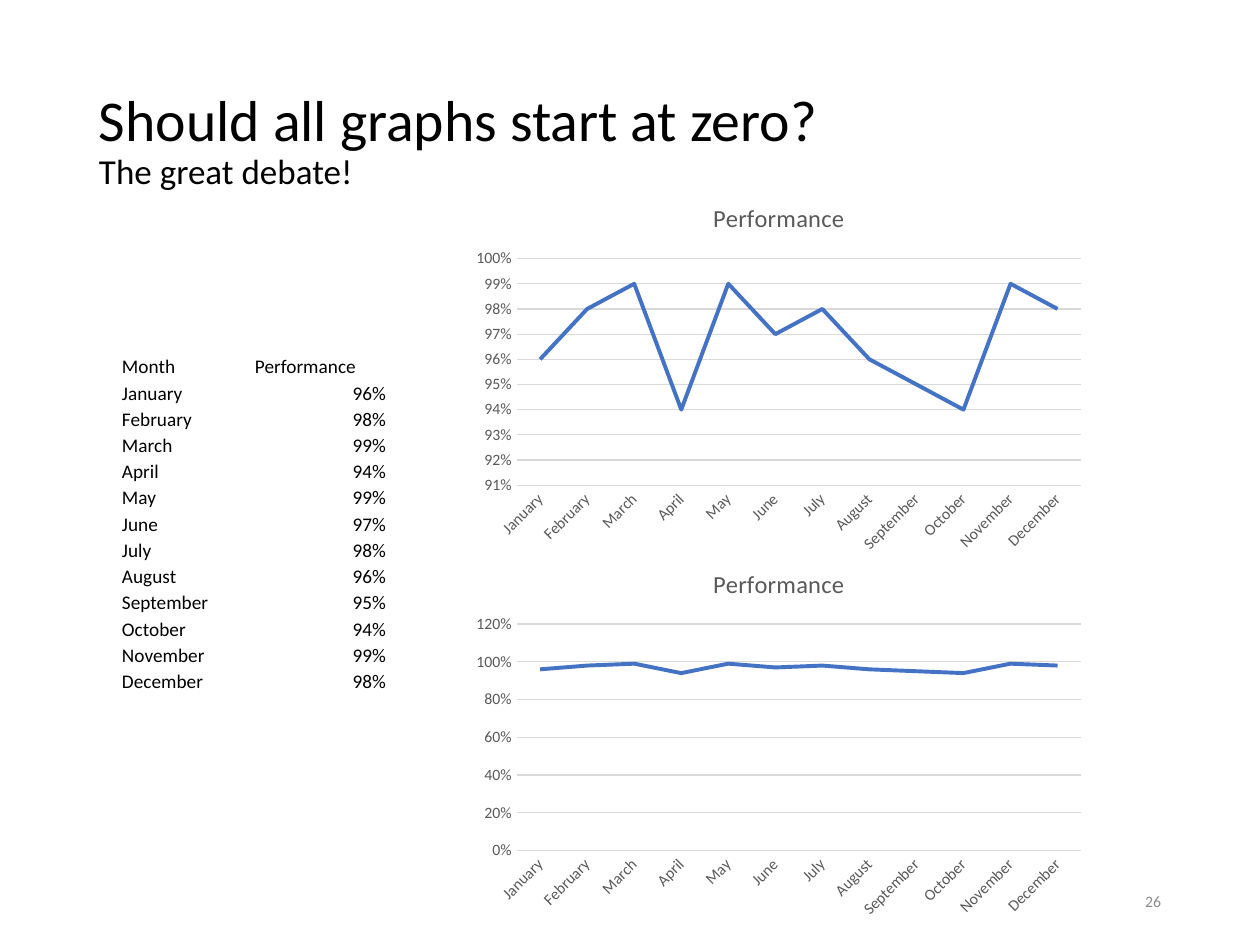
from pptx import Presentation
from pptx.chart.data import CategoryChartData
from pptx.dml.color import RGBColor
from pptx.enum import chart as charts, text
from pptx.util import Pt

FONT = "Calibri"
COLORS = {"ink": "000000", "label": "595959", "grid": "D9D9D9", "line": "4472C4", "number": "8C8C8C"}

TITLE = [("Should all graphs start at zero?", 33), ("The great debate!", 20)]
PAGE_NUMBER = "26"
HEADERS = ("Month", "Performance")
PERFORMANCE = {
    "January": 0.96, "February": 0.98, "March": 0.99, "April": 0.94,
    "May": 0.99, "June": 0.97, "July": 0.98, "August": 0.96,
    "September": 0.95, "October": 0.94, "November": 0.99, "December": 0.98,
}
# Top of each chart, then the minimum, maximum and step of its value axis
CHARTS = [(104.4, 0.91, 1, 0.01), (313.2, 0, 1.2, 0.2)]

TABLE_LEFT, TABLE_TOP, COLUMN_WIDTH, ROW_HEIGHT = 69.1, 201.6, 76, 15
CHART_LEFT, CHART_WIDTH, CHART_HEIGHT = 265, 360, 216


def color(name):
    return RGBColor.from_string(COLORS[name])


def style_font(font, size, name):
    font.name, font.size, font.bold = FONT, Pt(size), False
    font.color.rgb = color(name)


def style_line(line, name, width):
    line.color.rgb = color(name)
    line.width = Pt(width)


def add_box(page, left, top, width, height):
    frame = page.shapes.add_textbox(Pt(left), Pt(top), Pt(width), Pt(height)).text_frame
    frame.word_wrap = True
    frame.vertical_anchor = text.MSO_ANCHOR.MIDDLE
    return frame.paragraphs[0]


def add_title(page):
    para = add_box(page, 49.5, 28.8, 621, 104.4)
    para.line_spacing = 0.9
    for index, (words, size) in enumerate(TITLE):
        if index:
            para.add_line_break()
        span = para.add_run()
        span.text = words
        style_font(span.font, size, "ink")


def add_page_number(page):
    para = add_box(page, 508.5, 500.5, 162, 28.75)
    para.text = PAGE_NUMBER
    para.alignment = text.PP_ALIGN.RIGHT
    style_font(para.font, 9, "number")


def add_month_table(page):
    rows = [HEADERS] + [(month, f"{value:.0%}") for month, value in PERFORMANCE.items()]
    table = page.shapes.add_table(
        len(rows), len(HEADERS), Pt(TABLE_LEFT), Pt(TABLE_TOP),
        Pt(COLUMN_WIDTH * len(HEADERS)), Pt(ROW_HEIGHT * len(rows))).table
    table.first_row = table.horz_banding = False
    for r, row in enumerate(rows):
        table.rows[r].height = Pt(ROW_HEIGHT)
        for c, words in enumerate(row):
            cell = table.cell(r, c)
            cell.fill.background()
            cell.vertical_anchor = text.MSO_ANCHOR.BOTTOM
            cell.margin_left = cell.margin_right = cell.margin_top = Pt(0.6)
            cell.margin_bottom = 0
            para = cell.text_frame.paragraphs[0]
            para.text = words
            if r and c:
                para.alignment = text.PP_ALIGN.RIGHT
            style_font(para.font, 11, "ink")


def add_performance_chart(page, top, minimum, maximum, step):
    data = CategoryChartData(number_format="0%")
    data.categories = list(PERFORMANCE)
    data.add_series(HEADERS[1], list(PERFORMANCE.values()))
    chart = page.shapes.add_chart(
        charts.XL_CHART_TYPE.LINE, Pt(CHART_LEFT), Pt(top),
        Pt(CHART_WIDTH), Pt(CHART_HEIGHT), data).chart
    style_font(chart.font, 10, "ink")
    chart.has_legend = False
    chart.has_title = True
    chart.chart_title.include_in_layout = False
    heading = chart.chart_title.text_frame.paragraphs[0]
    heading.text = HEADERS[1]
    style_font(heading.font, 14, "label")

    months, values = chart.category_axis, chart.value_axis
    for axis in (months, values):
        axis.major_tick_mark = axis.minor_tick_mark = charts.XL_TICK_MARK.NONE
        style_font(axis.tick_labels.font, 9, "label")
    style_line(months.format.line, "grid", 0.75)
    months._element.txPr.bodyPr.set("rot", "-2700000")
    values.format.line.fill.background()
    values.minimum_scale, values.maximum_scale, values.major_unit = minimum, maximum, step
    values.tick_labels.number_format = "0%"
    values.tick_labels.number_format_is_linked = False
    style_line(values.major_gridlines.format.line, "grid", 0.75)

    plot = chart.plots[0]
    plot.vary_by_categories = False
    series = plot.series[0]
    series.smooth = False
    series.marker.style = charts.XL_MARKER_STYLE.NONE
    style_line(series.format.line, "line", 2.25)


def main():
    deck = Presentation()
    deck.slide_width, deck.slide_height = Pt(720), Pt(540)
    page = deck.slides.add_slide(deck.slide_layouts[6])
    add_title(page)
    add_page_number(page)
    add_month_table(page)
    for settings in CHARTS:
        add_performance_chart(page, *settings)
    deck.save("out.pptx")


if __name__ == "__main__":
    main()
